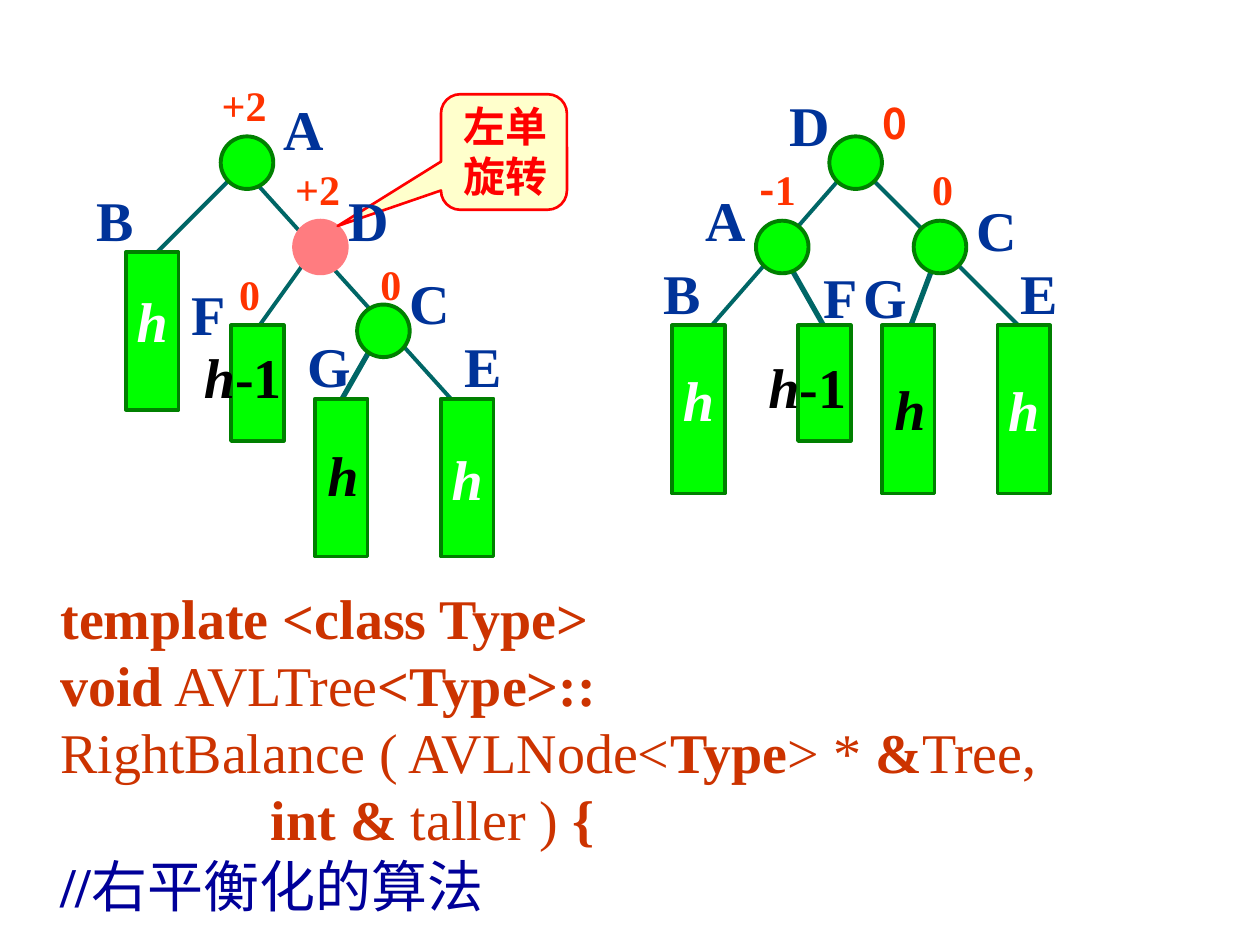
from lxml.etree import SubElement
from pptx import Presentation
from pptx.dml.color import RGBColor
from pptx.enum.shapes import MSO_CONNECTOR, MSO_SHAPE
from pptx.enum.text import MSO_ANCHOR, MSO_AUTO_SIZE, PP_ALIGN
from pptx.oxml.ns import qn
from pptx.util import Cm, Pt

TIMES, SANS = "Times New Roman", "Noto Sans CJK SC"
WHITE, BLACK, BLUE = "FFFFFF", "000000", "003399"
GREEN, EDGE, PINK = "00FF00", "008000", "FF7C80"
RED, ORANGE, RUST, NAVY = "FF0000", "FF3300", "CC3300", "000099"
hue = RGBColor.from_string


def write(para, text, size, color, bold=True, italic=False, face=TIMES):
    run = para.add_run()
    run.text = text
    font = run.font
    font.size, font.bold, font.italic, font.name = Pt(size), bold, italic, face
    font.color.rgb = hue(color)
    SubElement(run._r.get_or_add_rPr(), qn("a:ea"), typeface=SANS)


def frame(left, top, width, height, wrap=False):
    """Add a text box that grows with its text and return its text frame."""
    box = slide.shapes.add_textbox(Cm(left), Cm(top), Cm(width), Cm(height))
    body = box.text_frame
    body.word_wrap = wrap
    body.auto_size = MSO_AUTO_SIZE.SHAPE_TO_FIT_TEXT
    return body


deck = Presentation()
deck.slide_width, deck.slide_height = Cm(25.4), Cm(19.05)
slide = deck.slides.add_slide(deck.slide_layouts[6])

# Tree edges: x1, y1, x2, y2, weight
for x1, y1, x2, y2, weight in [
    (4.65, 3.6, 2.75, 5.5, 2.25),
    (5.08, 3.6, 9.1, 8.05, 2.25),
    (6.14, 5.29, 5.08, 6.77, 2.25),
    (7.62, 6.77, 6.77, 8.26, 3),
    (17.57, 3.6, 20.53, 6.56, 2.25),
    (16.93, 3.6, 13.97, 6.99, 2.25),
    (15.88, 5.29, 16.72, 6.77, 3),
    (18.84, 5.29, 18.2, 6.99, 3),
]:
    edge = slide.shapes.add_connector(
        MSO_CONNECTOR.STRAIGHT, Cm(x1), Cm(y1), Cm(x2), Cm(y2))
    edge.line.color.rgb = hue("006666")
    edge.line.width = Pt(weight)
    SubElement(edge._element.spPr, qn("a:effectLst"))

# Nodes are circles: left, top, fill, line
SIDE = 1.06
nodes = [
    (4.45, 2.75, GREEN, EDGE), (5.93, 4.45, PINK, PINK),
    (7.2, 6.14, GREEN, EDGE), (16.72, 2.75, GREEN, EDGE),
    (15.24, 4.45, GREEN, EDGE), (18.42, 4.45, GREEN, EDGE),
]
for left, top, fill, line in nodes:
    node = slide.shapes.add_shape(
        MSO_SHAPE.OVAL, Cm(left), Cm(top), Cm(SIDE), Cm(SIDE))
    node.shadow.inherit = False
    node.fill.solid()
    node.fill.fore_color.rgb = hue(fill)
    node.line.color.rgb = hue(line)
    node.line.width = Pt(2.25)

# Subtrees are bars: left, top, height, line spacing of the white h (0: no text)
for left, top, height, space in [
    (2.54, 5.08, 3.18, 0.6), (4.66, 6.56, 2.33, 0),
    (6.35, 8.04, 3.18, 0), (8.89, 8.04, 3.18, 1),
    (13.55, 6.56, 3.39, 0.6), (16.09, 6.56, 2.33, 0),
    (17.78, 6.56, 3.39, 0), (20.11, 6.56, 3.39, 1),
]:
    bar = slide.shapes.add_shape(
        MSO_SHAPE.RECTANGLE, Cm(left), Cm(top), Cm(SIDE), Cm(height))
    bar.shadow.inherit = False
    bar.fill.solid()
    bar.fill.fore_color.rgb = hue(GREEN)
    bar.line.color.rgb = hue(EDGE)
    bar.line.width = Pt(2.25)
    if space:
        bar.text_frame.word_wrap = False
        bar.text_frame.vertical_anchor = MSO_ANCHOR.MIDDLE
        para = bar.text_frame.paragraphs[0]
        para.alignment, para.line_spacing = PP_ALIGN.CENTER, space
        write(para, "h", 32, WHITE, italic=True)

# Callout pointing at the pink node
note = slide.shapes.add_shape(
    MSO_SHAPE.ROUNDED_RECTANGULAR_CALLOUT, Cm(8.89), Cm(1.9), Cm(2.54), Cm(2.33))
note.adjustments[0], note.adjustments[1] = -1.32, 0.64
note.shadow.inherit = False
note.fill.solid()
note.fill.fore_color.rgb = hue("FFFFCC")
note.line.color.rgb = hue(RED)
note.line.width = Pt(1.5)
body = frame(9.09, 1.9, 2.54, 2.29, True)
write(body.paragraphs[0], "左单", 24, RED)
write(body.add_paragraph(), "旋转", 24, RED)

# Balance factors
for left, top, width, runs in [
    (4.22, 1.47, 1.5, [("+2", TIMES)]), (5.7, 3.18, 1.5, [("+2", TIMES)]),
    (4.57, 5.28, 0.95, [("0", TIMES)]), (7.42, 5.08, 0.95, [("0", TIMES)]),
    (17.55, 1.85, 0.99, [("0", SANS)]), (18.54, 3.18, 0.95, [("0", TIMES)]),
    (15.06, 3.18, 1.42, [("-", SANS), ("1", TIMES)]),
]:
    para = frame(left, top, width, 1.27).paragraphs[0]
    for text, face in runs:
        write(para, text, 24, ORANGE, face=face)

# Names of nodes and subtrees
wide = {"A": 1.32, "B": 1.24, "C": 1.32, "D": 1.32, "E": 1.24, "F": 1.19, "G": 1.37}
for name, left, top in [
    ("A", 5.46, 1.78), ("B", 1.7, 3.61), ("C", 8, 5.28), ("D", 6.78, 3.61),
    ("E", 9.12, 6.55), ("F", 3.61, 5.51), ("G", 5.94, 6.55),
    ("A", 13.97, 3.61), ("B", 13.13, 5.08), ("C", 19.43, 3.81), ("D", 15.67, 1.7),
    ("E", 20.32, 5.08), ("F", 16.36, 5.16), ("G", 17.15, 5.16),
]:
    write(frame(left, top, wide[name], 1.63).paragraphs[0], name, 32, BLUE)

# Black heights
for left, top, width, tail in [
    (3.86, 6.78, 2.08, "-1"), (6.35, 8.76, 1.14, ""),
    (15.24, 6.99, 2.08, "-1"), (17.78, 7.42, 1.14, ""),
]:
    para = frame(left, top, width, 1.63).paragraphs[0]
    write(para, "h", 32, BLACK, italic=True)
    if tail:
        write(para, tail, 32, BLACK)

# Code: each line has a colour and runs of text and bold
code = [
    (RUST, [("template <class Type>", True)]),
    (RUST, [("void", True), (" AVLTree", False), ("<Type>::", True)]),
    (RUST, [("RightBalance ( AVLNode<", False), ("Type", True), ("> * ", False),
            ("&", True), ("Tree,", False)]),
    (RUST, [("               ", False), ("int &", True), (" taller ) ", False),
            ("{", True)]),
    (NAVY, [("//", True), ("右平衡化的算法", False)]),
]
body = frame(0.97, 11.63, 25.07, 7.04, True)
for row, (color, runs) in enumerate(code):
    para = body.add_paragraph() if row else body.paragraphs[0]
    for text, bold in runs:
        write(para, text, 32, color, bold)

deck.save("out.pptx")
